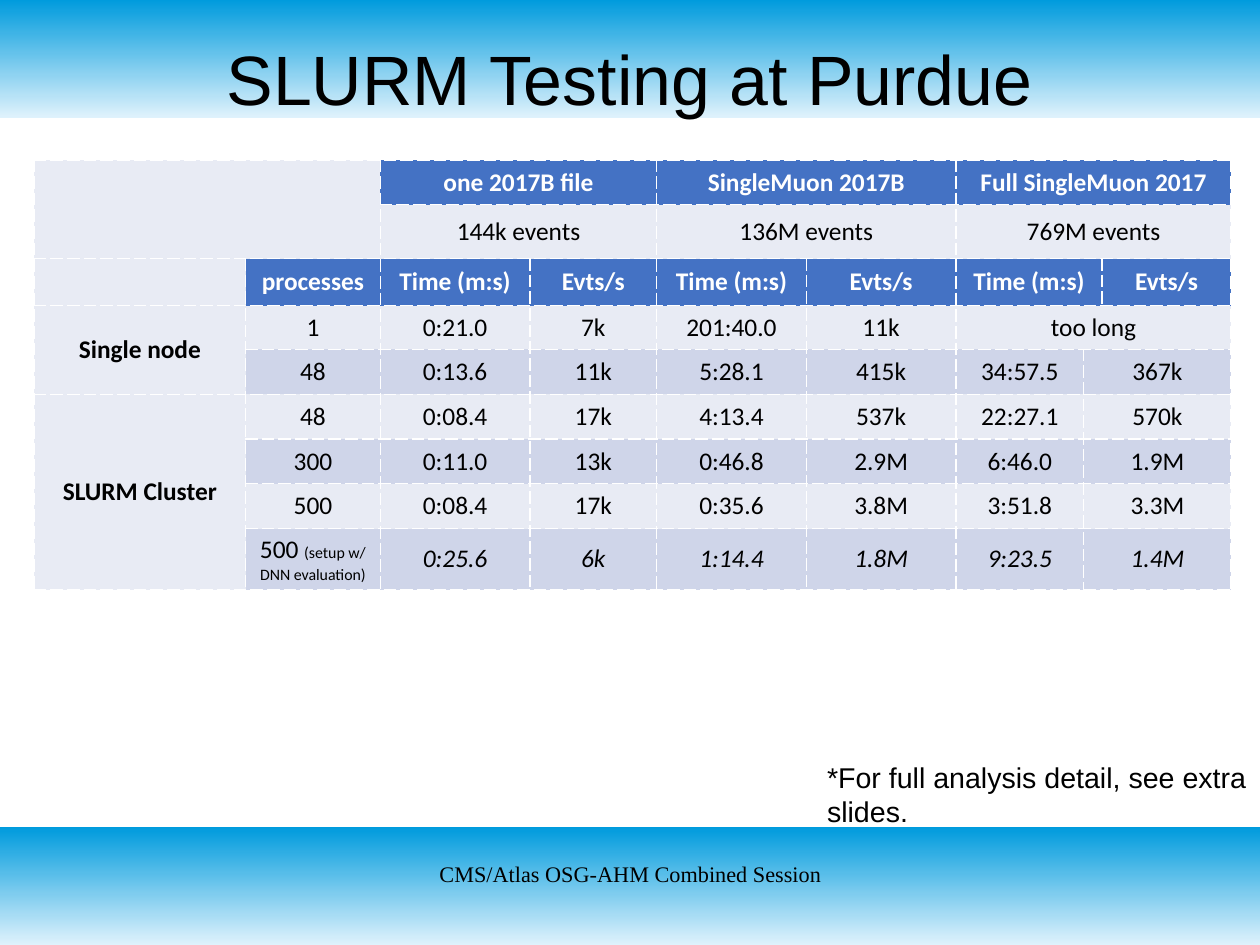
from lxml.etree import SubElement
from pptx import Presentation
from pptx.dml.color import RGBColor
from pptx.enum.shapes import MSO_SHAPE as Shape
from pptx.enum.text import MSO_ANCHOR as Anchor, MSO_AUTO_SIZE as AutoSize, PP_ALIGN as Align
from pptx.oxml.ns import qn
from pptx.util import Emu, Inches, Pt

WIDTH, HEIGHT = Emu(10080625), Emu(7559675)
COLORS = {
    "black": "000000", "white": "FFFFFF", "header": "4472C4",
    "light": "E8EBF4", "dark": "CFD5E9", "sky": "009BDD", "haze": "DFF2FC",
}

# Table content; an empty string is a blank or merged cell
COLUMNS = [1.85, 1.18, 1.31, 1.11, 1.31, 1.31, 1.12, 0.16, 1.13]
ROWS = [0.39, 0.47, 0.41, 0.38, 0.39, 0.39, 0.39, 0.39, 0.5]
RESULTS = [
    ["", "", "one 2017B file", "", "SingleMuon 2017B", "", "Full SingleMuon 2017", "", ""],
    ["", "", "144k events", "", "136M events", "", "769M events", "", ""],
    ["", "processes", "Time (m:s)", "Evts/s", "Time (m:s)", "Evts/s", "Time (m:s)", "", "Evts/s"],
    ["Single node", "1", "0:21.0", "7k", "201:40.0", "11k", "too long", "", ""],
    ["", "48", "0:13.6", "11k", "5:28.1", "415k", "34:57.5", "367k", ""],
    ["SLURM Cluster", "48", "0:08.4", "17k", "4:13.4", "537k", "22:27.1", "570k", ""],
    ["", "300", "0:11.0", "13k", "0:46.8", "2.9M", "6:46.0", "1.9M", ""],
    ["", "500", "0:08.4", "17k", "0:35.6", "3.8M", "3:51.8", "3.3M", ""],
    ["", "500 |(setup w/ DNN evaluation)", "0:25.6", "6k", "1:14.4", "1.8M", "9:23.5", "1.4M", ""],
]
# First row, first column, last row, last column
MERGES = [
    (0, 0, 1, 1), (2, 6, 2, 7), (3, 0, 4, 0), (3, 6, 3, 8), (5, 0, 8, 0),
    *[(row, first, row, last) for row in (0, 1) for first, last in ((2, 3), (4, 5), (6, 8))],
    *[(row, 7, row, 8) for row in range(4, 9)],
]


def color(name):
    return RGBColor.from_string(COLORS[name])


def share(left, top, width, height):
    """Turn percentages of the slide into lengths."""
    return [int(whole * part / 100) for whole, part in
            zip((WIDTH, HEIGHT, WIDTH, HEIGHT), (left, top, width, height))]


def set_all(target, values):
    for name, value in values.items():
        setattr(target, name, value)


def format_spans(para, ink="black", **values):
    for span in para.runs:
        set_all(span.font, values)
        span.font.color.rgb = color(ink)


def margins(x, y):
    return {"margin_left": Inches(x), "margin_right": Inches(x),
            "margin_top": Inches(y), "margin_bottom": Inches(y)}


def add_bar(page, top):
    bar = page.shapes.add_shape(Shape.RECTANGLE, *share(0, top, 100, 12.45))
    bar.shadow.inherit = False
    bar.line.fill.background()
    bar.fill.gradient()
    bar.fill.gradient_angle = 90
    for stop, name in zip(bar.fill.gradient_stops, ("haze", "sky")):
        stop.color.rgb = color(name)
    return bar


def fill_text(box, text, frame, align, font, size):
    para = box.text_frame.paragraphs[0]
    para.text = text
    para.alignment = align
    set_all(box.text_frame, frame)
    format_spans(para, name=font, size=Pt(size))


def add_text(page, place, *content):
    fill_text(page.shapes.add_textbox(*share(*place)), *content)


def set_borders(cell):
    props = cell._tc.get_or_add_tcPr()
    for side in "LRTB":
        line = SubElement(props, qn(f"a:ln{side}"), w=str(Pt(0.96)))
        fill = SubElement(line, qn("a:solidFill"))
        SubElement(fill, qn("a:srgbClr"), val=COLORS["white"])
        SubElement(line, qn("a:prstDash"), val="dash")


def fill_cell(cell, row, column, text):
    is_header = (row == 0 and column >= 2) or (row == 2 and column >= 1)
    is_dark = row in (4, 6, 8) and column >= 1
    set_borders(cell)
    cell.fill.solid()
    cell.fill.fore_color.rgb = color("header" if is_header else "dark" if is_dark else "light")
    set_all(cell, {"vertical_anchor": Anchor.MIDDLE, **margins(0.03, 0.05)})
    para = cell.text_frame.paragraphs[0]
    para.alignment = Align.CENTER
    if not text:
        return
    for part in text.split("|"):
        para.add_run().text = part
    format_spans(para, "white" if is_header else "black", name="Calibri", size=Pt(16),
                 bold=is_header or column == 0, italic=row == 8 and column >= 2)
    for remark in para.runs[1:]:
        remark.font.size = Pt(10)


def add_results(page):
    left, top, width, height = share(2.72, 16.93, 95, 45.1)
    table = page.shapes.add_table(len(ROWS), len(COLUMNS), left, top, width, height).table
    set_all(table, {"first_row": False, "horz_banding": False})
    for column, weight in zip(table.columns, COLUMNS):
        column.width = int(width * weight / sum(COLUMNS))
    for row, weight in zip(table.rows, ROWS):
        row.height = int(height * weight / sum(ROWS))
    for row, texts in enumerate(RESULTS):
        for column, text in enumerate(texts):
            fill_cell(table.cell(row, column), row, column, text)
    for first_row, first_column, last_row, last_column in MERGES:
        table.cell(first_row, first_column).merge(table.cell(last_row, last_column))


def main():
    deck = Presentation()
    set_all(deck, {"slide_width": WIDTH, "slide_height": HEIGHT})
    page = deck.slides.add_slide(deck.slide_layouts[5])
    title = page.shapes.title

    # Bands behind the title and the footer
    for top in (0, 87.55):
        title._element.addprevious(add_bar(page, top)._element)

    # Title
    set_all(title, dict(zip(("left", "top", "width", "height"), share(5, 4, 90, 8.46))))
    fill_text(title, "SLURM Testing at Purdue",
              {"vertical_anchor": Anchor.MIDDLE, "word_wrap": True,
               "auto_size": AutoSize.SHAPE_TO_FIT_TEXT, **margins(0, 0)},
              Align.CENTER, "Arial", 44)

    # Test results
    add_results(page)

    # Remark and footer
    add_text(page, (64.75, 79.8, 35.12, 7.98), "*For full analysis detail, see extra\vslides.",
             {"word_wrap": False, "auto_size": AutoSize.SHAPE_TO_FIT_TEXT, **margins(0.1, 0.05)},
             Align.LEFT, "Arial", 18)
    add_text(page, (34.21, 91.05, 31.67, 6.9), "CMS/Atlas OSG-AHM Combined Session",
             {"word_wrap": True, **margins(0, 0)}, Align.CENTER, "Times New Roman", 14)

    deck.save("out.pptx")


if __name__ == "__main__":
    main()
